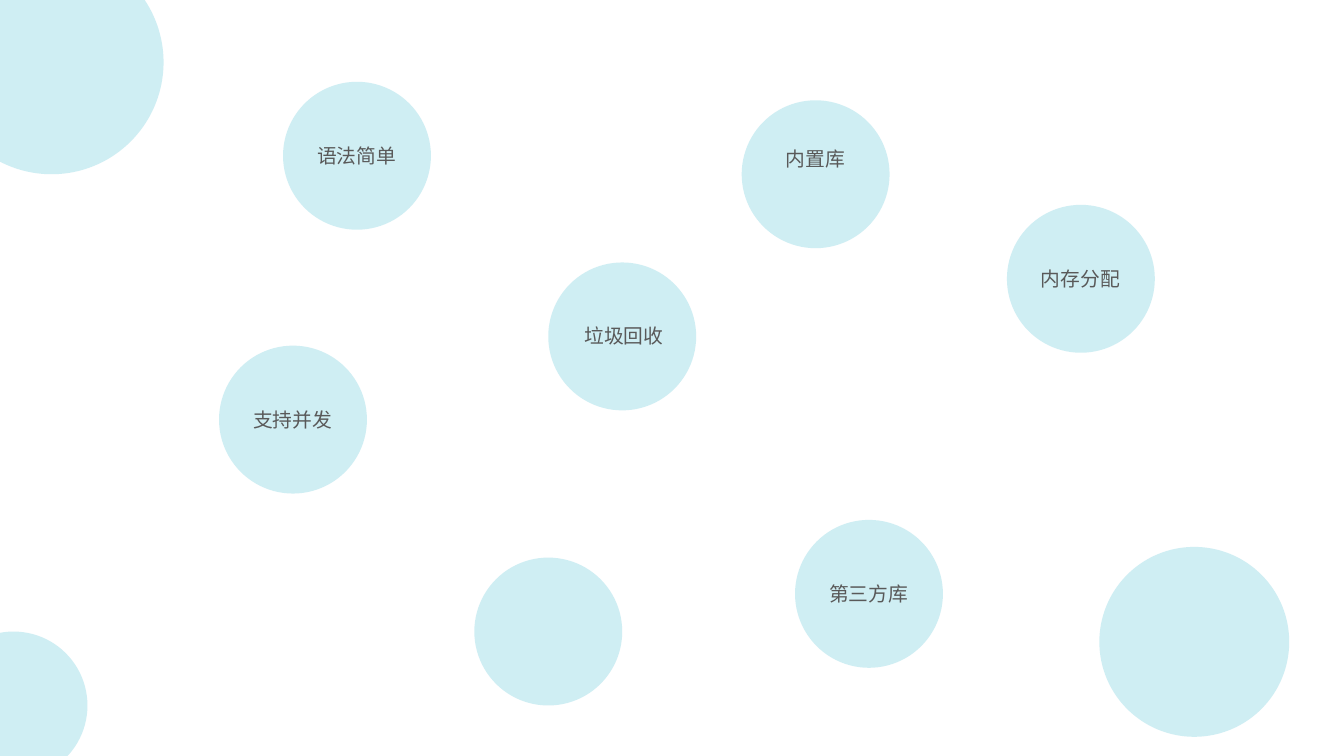
from lxml import etree
from pptx import Presentation
from pptx.dml.color import RGBColor
from pptx.enum.shapes import MSO_SHAPE
from pptx.enum.text import MSO_AUTO_SIZE
from pptx.oxml.ns import qn
from pptx.util import Inches, Pt

OVAL = MSO_SHAPE.OVAL
FIT_TEXT = MSO_AUTO_SIZE.SHAPE_TO_FIT_TEXT
AQUA = RGBColor(0x75, 0xCE, 0xDE)
GREY = RGBColor(0x59, 0x59, 0x59)
FONT = "Noto Sans CJK JP"
OPACITY = "34000"
BUBBLE_SIZE = 2.08
LABEL_HEIGHT = 0.44
BLANK_LAYOUT = 6

DECORATIONS = [
    (-0.85, -0.7, 3.15),
    (-0.85, 8.88, BUBBLE_SIZE),
    (15.46, 7.69, 2.67),
    (6.67, 7.84, BUBBLE_SIZE),
]
FEATURES = [
    ("语法简单", 3.98, 1.15, 0, 0),
    ("垃圾回收", 7.71, 3.69, 0.03, 0),
    ("支持并发", 3.08, 4.86, 0, 0),
    ("内置库", 10.43, 1.41, 0, -0.21),
    ("内存分配", 14.16, 2.88, 0, 0),
    ("第三方库", 11.18, 7.31, 0, 0),
]


def add_bubble(slide, left, top, size):
    """Draw a translucent circle in a square box."""
    bubble = slide.shapes.add_shape(
        OVAL, Inches(left), Inches(top), Inches(size), Inches(size))
    bubble.shadow.inherit = False
    bubble.fill.solid()
    bubble.fill.fore_color.rgb = AQUA
    bubble.line.fill.background()
    color = bubble.fill._xPr.find(qn("a:solidFill")).find(qn("a:srgbClr"))
    etree.SubElement(color, qn("a:alpha")).set("val", OPACITY)


def add_label(slide, text, center_x, center_y):
    """Write a one-line label around a centre point."""
    width = 0.2 + 0.28 * len(text)
    label = slide.shapes.add_textbox(
        Inches(center_x - width / 2), Inches(center_y - LABEL_HEIGHT / 2),
        Inches(width), Inches(LABEL_HEIGHT))
    frame = label.text_frame
    frame.word_wrap = False
    frame.auto_size = FIT_TEXT
    run = frame.paragraphs[0].add_run()
    run.text = text
    run.font.size = Pt(20)
    run.font.color.rgb = GREY
    run.font.name = FONT
    properties = run.font._element
    etree.SubElement(properties, qn("a:ea")).set("typeface", FONT)


def add_feature(slide, text, left, top, shift_x, shift_y):
    """Draw a bubble with its label at the middle, plus an optional shift."""
    add_bubble(slide, left, top, BUBBLE_SIZE)
    add_label(slide, text, left + BUBBLE_SIZE / 2 + shift_x,
              top + BUBBLE_SIZE / 2 + shift_y)


def build_feature_slide(presentation):
    """Add the slide of language features among decorative bubbles."""
    slide = presentation.slides.add_slide(
        presentation.slide_layouts[BLANK_LAYOUT])
    for decoration in DECORATIONS:
        add_bubble(slide, *decoration)
    for feature in FEATURES:
        add_feature(slide, *feature)


def main():
    """Create and save the presentation."""
    presentation = Presentation()
    presentation.slide_width = Inches(18.9)
    presentation.slide_height = Inches(10.63)
    build_feature_slide(presentation)
    presentation.save("out.pptx")


if __name__ == "__main__":
    main()
